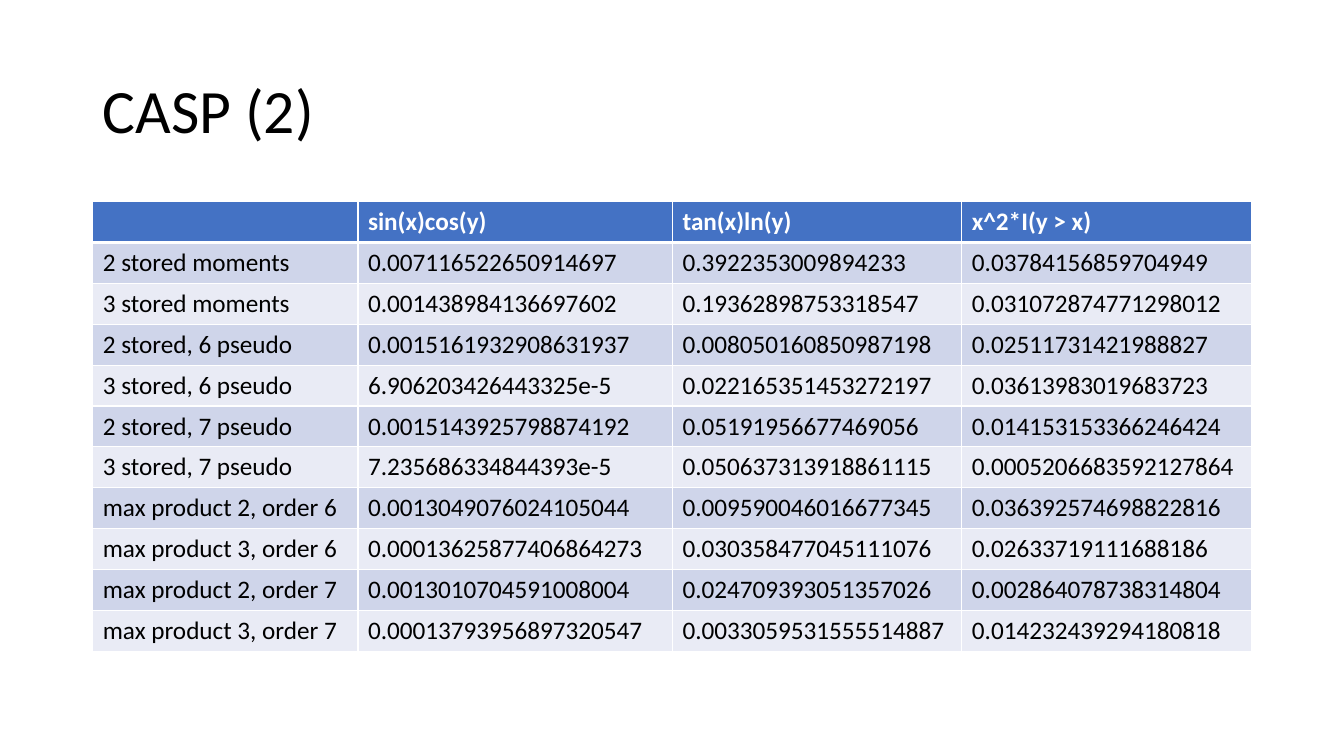
from lxml import etree
from pptx import Presentation
from pptx.dml.color import RGBColor
from pptx.enum.text import MSO_ANCHOR, MSO_AUTO_SIZE, PP_ALIGN
from pptx.oxml.ns import qn
from pptx.util import Inches, Pt

LEFT = PP_ALIGN.LEFT
MIDDLE = MSO_ANCHOR.MIDDLE
NO_AUTOFIT = MSO_AUTO_SIZE.NONE
TITLE_ONLY = 5

BLACK = RGBColor(0x00, 0x00, 0x00)
WHITE = RGBColor(0xFF, 0xFF, 0xFF)
HEADER_BLUE = RGBColor(0x44, 0x72, 0xC4)
BAND_DARK = RGBColor(0xCF, 0xD5, 0xEA)
BAND_LIGHT = RGBColor(0xE9, 0xEB, 0xF5)

COLUMN_WIDTHS = [2.63, 3.12, 2.87, 2.87]
RESULTS = [
    ["", "sin(x)cos(y)", "tan(x)ln(y)", "x^2*I(y > x)"],
    ["2 stored moments", "0.007116522650914697", "0.3922353009894233", "0.03784156859704949"],
    ["3 stored moments", "0.001438984136697602", "0.19362898753318547", "0.031072874771298012"],
    ["2 stored, 6 pseudo", "0.0015161932908631937", "0.008050160850987198", "0.02511731421988827"],
    ["3 stored, 6 pseudo", "6.906203426443325e-5", "0.022165351453272197", "0.03613983019683723"],
    ["2 stored, 7 pseudo", "0.0015143925798874192", "0.05191956677469056", "0.014153153366246424"],
    ["3 stored, 7 pseudo", "7.235686334844393e-5", "0.050637313918861115", "0.0005206683592127864"],
    ["max product 2, order 6", "0.0013049076024105044", "0.009590046016677345", "0.036392574698822816"],
    ["max product 3, order 6", "0.00013625877406864273", "0.030358477045111076", "0.02633719111688186"],
    ["max product 2, order 7", "0.0013010704591008004", "0.024709393051357026", "0.002864078738314804"],
    ["max product 3, order 7", "0.00013793956897320547", "0.0033059531555514887", "0.014232439294180818"],
]


class SlideBuilder:
    font = "Calibri"
    title_size = 44
    cell_size = 18

    def __init__(self, page):
        self.page = page

    def add_text(self, para, text, size, color, bold=False):
        para.alignment = LEFT
        span = para.add_run()
        span.text = text
        span.font.name = self.font
        span.font.size = Pt(size)
        span.font.bold = bold
        span.font.color.rgb = color

    def add_title(self, text, left, top, width, height):
        box = self.page.shapes.title
        box.left, box.top = Inches(left), Inches(top)
        box.width, box.height = Inches(width), Inches(height)
        frame = box.text_frame
        frame.word_wrap = True
        frame.auto_size = NO_AUTOFIT
        frame.vertical_anchor = MIDDLE
        para = frame.paragraphs[0]
        para.line_spacing = 0.9
        self.add_text(para, text, self.title_size, BLACK)

    def add_borders(self, cell, widths):
        properties = cell._tc.get_or_add_tcPr()
        for side, width in widths.items():
            line = etree.SubElement(properties, qn(f"a:ln{side}"), w=str(Pt(width)))
            fill = etree.SubElement(line, qn("a:solidFill"))
            etree.SubElement(fill, qn("a:srgbClr"), val=str(WHITE))

    def add_table(self, rows, widths, left, top, height):
        frame = self.page.shapes.add_table(
            len(rows), len(widths), Inches(left), Inches(top),
            Inches(sum(widths)), Inches(height))
        table = frame.table
        for column, width in zip(table.columns, widths):
            column.width = Inches(width)
        for row_index, texts in enumerate(rows):
            table.rows[row_index].height = Inches(height / len(rows))
            header = row_index == 0
            band = BAND_DARK if row_index % 2 else BAND_LIGHT
            top_width = 3 if row_index == 1 else 1
            bottom_width = 3 if header else 1
            borders = {"L": 1, "R": 1, "T": top_width, "B": bottom_width}
            for column_index, text in enumerate(texts):
                cell = table.cell(row_index, column_index)
                self.add_borders(cell, borders)
                cell.fill.solid()
                cell.fill.fore_color.rgb = HEADER_BLUE if header else band
                para = cell.text_frame.paragraphs[0]
                para.font.size = Pt(self.cell_size)
                if text:
                    color = WHITE if header else BLACK
                    self.add_text(para, text, self.cell_size, color, header)


def main():
    deck = Presentation()
    deck.slide_width, deck.slide_height = Inches(13.33), Inches(7.5)
    page = deck.slides.add_slide(deck.slide_layouts[TITLE_ONLY])
    builder = SlideBuilder(page)
    builder.add_title("CASP (2)", 0.92, 0.4, 11.5, 1.45)
    builder.add_table(RESULTS, COLUMN_WIDTHS, 0.92, 2, 4.46)
    deck.save("out.pptx")


if __name__ == "__main__":
    main()
